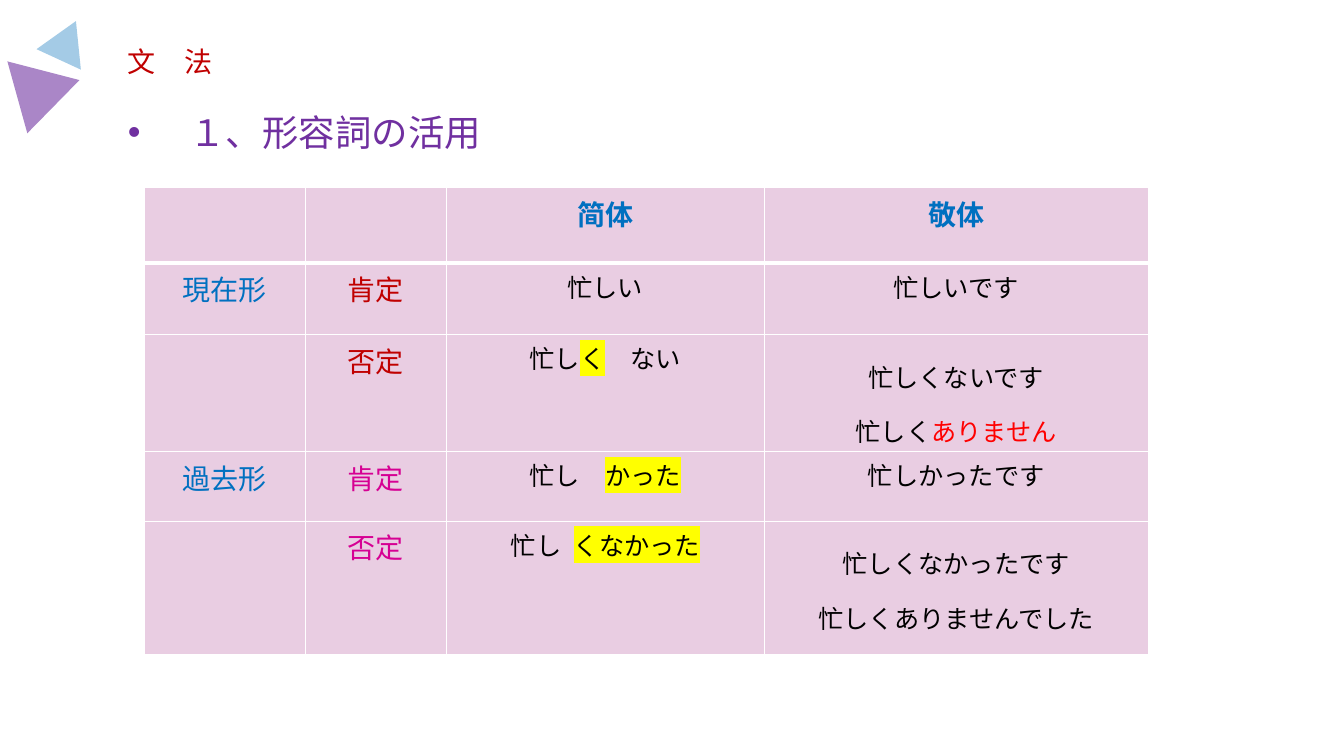
from dataclasses import dataclass
from lxml.etree import SubElement
from pptx import Presentation
from pptx.dml.color import RGBColor
from pptx.enum.shapes import MSO_SHAPE
from pptx.enum.text import MSO_ANCHOR, PP_ALIGN
from pptx.oxml import parse_xml
from pptx.oxml.ns import nsdecls, qn
from pptx.util import Inches, Pt


@dataclass(frozen=True)
class Theme:
    cjk: str = "Noto Sans CJK SC"
    latin: str = "Arial"
    sky: str = "A4CBE6"
    violet: str = "AA86C7"
    purple: str = "7030A0"
    blue: str = "0070C0"
    crimson: str = "C00000"
    magenta: str = "D60093"
    red: str = "FF0000"
    black: str = "000000"
    yellow: str = "FFFF00"
    white: str = "FFFFFF"
    pink: str = "E9CDE2"
    heading: int = 26
    label: int = 20
    example: int = 18


theme = Theme()
presentation = Presentation()
presentation.slide_width = Inches(13.33)
presentation.slide_height = Inches(7.5)
slide = presentation.slides.add_slide(presentation.slide_layouts[6])


def place(left, top, width, height):
    across, down = presentation.slide_width / 100, presentation.slide_height / 100
    return [int(left * across), int(top * down), int(width * across), int(height * down)]


def write(paragraph, runs, size, face, color, bold=False):
    font = paragraph.font
    font.size, font.name, font.bold = Pt(size), face, bold
    font.color.rgb = RGBColor.from_string(color)
    defaults = paragraph._p.pPr.find(qn("a:defRPr"))
    SubElement(defaults, qn("a:ea")).set("typeface", theme.cjk)
    for text, accent, highlight in runs:
        run = paragraph.add_run()
        run.text = text
        if accent:
            run.font.color.rgb = RGBColor.from_string(accent)
        if highlight:
            marker = SubElement(run._r.get_or_add_rPr(), qn("a:highlight"))
            SubElement(marker, qn("a:srgbClr")).set("val", highlight)


for box, rotation, color in [
    ((3.3, 4.13, 3.6, 5.6), 144.5, theme.sky),
    ((0.83, 7.47, 5.55, 8.53), 74.5, theme.violet),
]:
    triangle = slide.shapes.add_shape(MSO_SHAPE.ISOSCELES_TRIANGLE, *place(*box))
    triangle.rotation = rotation
    triangle.shadow.inherit = False
    triangle.fill.solid()
    triangle.fill.fore_color.rgb = RGBColor.from_string(color)
    triangle.line.fill.background()

title = slide.shapes.add_textbox(*place(8.78, 4.27, 82.5, 6.8)).text_frame
title.word_wrap = True
title.vertical_anchor = MSO_ANCHOR.BOTTOM
title.paragraphs[0].line_spacing = 0.9
write(title.paragraphs[0], [("文　法", None, None)], theme.label, theme.cjk, theme.crimson)

topic = slide.shapes.add_textbox(*place(8.78, 11.6, 82.5, 12)).text_frame
topic.word_wrap = True
paragraph = topic.paragraphs[0]
properties = paragraph._p.get_or_add_pPr()
properties.set("marL", str(Inches(0.25)))
properties.set("indent", str(-Inches(0.25)))
SubElement(properties, qn("a:buFont")).set("typeface", theme.latin)
SubElement(properties, qn("a:buChar")).set("char", "•")
paragraph.line_spacing = 1.4
paragraph.space_before = Pt(10)
write(paragraph, [("　１、形容詞の活用", None, None)], theme.heading, theme.cjk, theme.purple)

column_shares = [12, 10.5, 23.63, 28.58]
row_shares = [10, 9.47, 15.47, 9.2, 17.6]
conjugations = [
    ["", "", "简体", "敬体"],
    ["現在形", "肯定", "忙しい", "忙しいです"],
    ["", "否定", "忙し|*く|　ない", "忙しくないです\n忙しく|!ありません"],
    ["過去形", "肯定", "忙し　|*かった", "忙しかったです"],
    ["", "否定", "忙し\u2002|*くなかった", "忙しくなかったです\n忙しくありませんでした"],
]
accents = {"*": (None, theme.yellow), "!": (theme.red, None)}
polarity_colors = [theme.blue, theme.crimson, theme.crimson, theme.magenta, theme.magenta]

table = slide.shapes.add_table(
    len(row_shares), len(column_shares),
    *place(10.73, 24.8, sum(column_shares), sum(row_shares)),
).table
for column, share in zip(table.columns, column_shares):
    column.width = int(presentation.slide_width * share / 100)
for row, share in zip(table.rows, row_shares):
    row.height = int(presentation.slide_height * share / 100)

for row_index, words in enumerate(conjugations):
    for column_index, content in enumerate(words):
        cell = table.cell(row_index, column_index)
        cell.fill.solid()
        cell.fill.fore_color.rgb = RGBColor.from_string(theme.pink)
        for position, side in enumerate("LRTB"):
            thick = (row_index, side) in [(0, "B"), (1, "T")]
            border = parse_xml(
                f'<a:ln{side} {nsdecls("a")} w="{Pt(3 if thick else 1)}"><a:solidFill>'
                f'<a:srgbClr val="{theme.white}"/></a:solidFill></a:ln{side}>'
            )
            cell._tc.get_or_add_tcPr().insert(position, border)

        header = row_index == 0
        if header or column_index == 0:
            size, color = theme.label, theme.blue
        elif column_index == 1:
            size, color = theme.label, polarity_colors[row_index]
        else:
            size, color = theme.example, theme.black
        lines = content.split("\n")
        for line_index, line in enumerate(lines):
            paragraph = cell.text_frame.paragraphs[0] if line_index == 0 else cell.text_frame.add_paragraph()
            paragraph.alignment = PP_ALIGN.CENTER
            if len(lines) > 1:
                paragraph.line_spacing = 1.5
            runs = [
                (part.lstrip("*!"), *accents.get(part[0], (None, None)))
                for part in line.split("|") if part
            ]
            write(paragraph, runs, size, theme.latin, color, header)

presentation.save("out.pptx")
